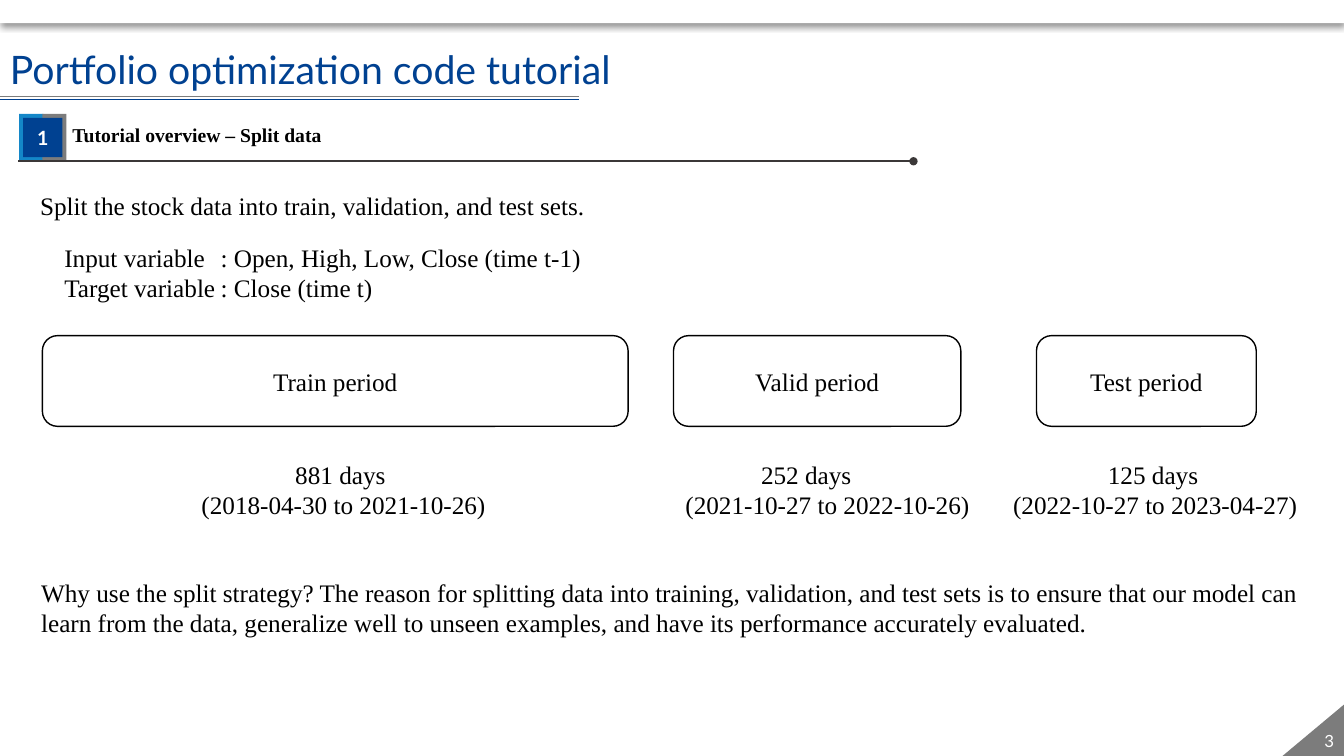
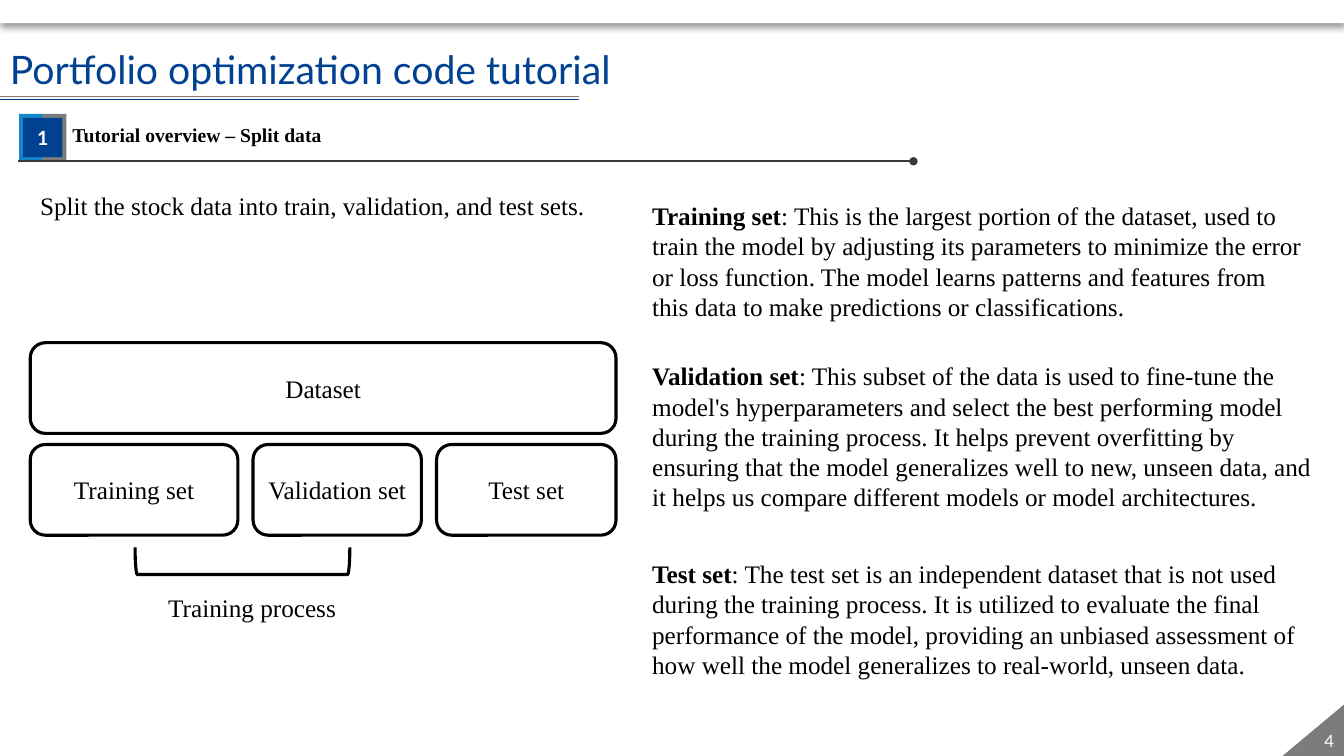
from lxml.etree import SubElement as Sub
from pptx import Presentation
from pptx.dml.color import RGBColor
from pptx.enum.shapes import MSO_CONNECTOR as Conn, MSO_SHAPE as Kind
from pptx.enum.text import MSO_ANCHOR as Anchor, PP_ALIGN as Align
from pptx.oxml.ns import qn
from pptx.util import Inches, Pt

# Grid of tenth-inch cells
COLS, ROWS = 133.3, 75

NAVY = RGBColor(0x00, 0x41, 0x91)
SKY = RGBColor(0x14, 0x87, 0xC8)
GRAY = RGBColor(0x7C, 0x7C, 0x7C)
DARK = RGBColor(0x3B, 0x38, 0x38)
BLACK = RGBColor(0, 0, 0)
WHITE = RGBColor(0xFF, 0xFF, 0xFF)
SERIF, SANS = "Times New Roman", "Lato"
PAD = (1, 0.5, 1, 0.5)
SLIM = (1, 0.5, 0.4, 0.5)
FLAT = (0, 0.5, 0, 0.5)


def cell(num):
    return Inches(num / 10)


class Deck:
    """Holds the shared style and the slide being drawn."""

    def __init__(self):
        self.prs = Presentation()
        self.prs.slide_width, self.prs.slide_height = cell(COLS), cell(ROWS)
        self.page = None

    def start(self, num):
        """Begin a slide with its title, section heading and footer."""
        self.page = self.prs.slides.add_slide(self.prs.slide_layouts[6]).shapes

        # Corner and top band
        nook = self.shape(Kind.RIGHT_TRIANGLE, (127.2, 69.9, 6.1, 5.1), GRAY)
        nook._element.spPr.find(qn("a:xfrm")).set("flipH", "1")
        self.shade(self.shape(Kind.RECTANGLE, (0, -0.4, COLS, 2.7), WHITE))
        self.text((103.3, 71.5, 30, 4), [str(num)], 12, SANS, WHITE,
                  align=Align.RIGHT, anchor=Anchor.MIDDLE)

        # Title over a double rule
        self.text((0, 4.5, 131.6, 5.2), ["Portfolio optimization code tutorial"],
                  28, SANS, NAVY, anchor=Anchor.BOTTOM, pad=SLIM)
        for row, tint in ((9.6, GRAY), (9.9, NAVY)):
            self.line(0, 57.4, row, tint, 0.5)

        # Section badge and heading
        for left, tint in ((1.9, SKY), (4.2, GRAY)):
            self.shape(Kind.RECTANGLE, (left, 11.3, 2.4, 4.7), tint)
        badge = self.shape(Kind.RECTANGLE, (2.3, 11.7, 3.9, 3.9), NAVY)
        self.fill(badge, ["1"], 14, SANS, WHITE, True, Align.CENTER,
                  Anchor.MIDDLE, FLAT)
        self.text((6.2, 11.7, 127.1, 3.4), ["Tutorial overview – Split data"],
                  14, bold=True, pad=SLIM)
        self.line(1.8, 90.6, 16, DARK, 1.5, dot=True)
        self.text((3, 18.4, 87.6, 4),
                  ["Split the stock data into train, validation, and test sets."])

    def shape(self, kind, box, tint=None, edge=None):
        item = self.page.add_shape(kind, *map(cell, box))
        item.shadow.inherit = False
        if tint is None:
            item.fill.background()
        else:
            item.fill.solid()
            item.fill.fore_color.rgb = tint
        if edge is None:
            item.line.fill.background()
        else:
            item.line.color.rgb = BLACK
            item.line.width = Pt(edge)
        return item

    def shade(self, item):
        """Cast a soft shadow straight down."""
        glow = item._element.spPr.find(qn("a:effectLst"))
        cast = Sub(glow, qn("a:outerShdw"), blurRad=str(Pt(4)),
                   dist=str(Pt(3)), dir="5400000", rotWithShape="0")
        tint = Sub(cast, qn("a:srgbClr"), val=str(BLACK))
        Sub(tint, qn("a:alpha"), val="40000")

    def line(self, left, right, row, tint, width, dot=False):
        rule = self.page.add_connector(Conn.STRAIGHT, cell(left), cell(row),
                                       cell(right), cell(row))
        rule.line.color.rgb = tint
        rule.line.width = Pt(width)
        if dot:
            Sub(rule.line._get_or_add_ln(), qn("a:tailEnd"), type="oval")
        Sub(rule._element.spPr, qn("a:effectLst"))

    def fill(self, item, paras, size=18, face=SERIF, tint=BLACK, bold=False,
             align=Align.LEFT, anchor=Anchor.TOP, pad=PAD):
        """Write paragraphs; a pair is a bold lead and the rest."""
        frame = item.text_frame
        frame.word_wrap = True
        frame.vertical_anchor = anchor
        (frame.margin_left, frame.margin_top,
         frame.margin_right, frame.margin_bottom) = map(cell, pad)
        for num, words in enumerate(paras):
            para = frame.add_paragraph() if num else frame.paragraphs[0]
            para.alignment = align
            if isinstance(words, tuple):
                for part, thick in zip(words, (True, False)):
                    run = para.add_run()
                    run.text = part
                    run.font.bold = thick
            else:
                para.text = words
                para.font.bold = bold
            para.font.size = Pt(size)
            para.font.name = face
            para.font.color.rgb = tint
        return frame

    def text(self, box, paras, *args, tab=None, inset=None, **style):
        item = self.page.add_textbox(*map(cell, box))
        # Tab stops and the indent go in ahead of the font
        if inset:
            props = item.text_frame.paragraphs[0]._p.get_or_add_pPr()
            props.set("marL", str(cell(inset)))
        frame = self.fill(item, paras, *args, **style)
        if tab:
            for para in frame.paragraphs:
                props = para._p.get_or_add_pPr()
                stops = props.makeelement(qn("a:tabLst"), {})
                Sub(stops, qn("a:tab"), pos=str(cell(tab)), algn="l")
                props.insert(0, stops)

    def card(self, left, top, width, label, edge):
        item = self.shape(Kind.ROUNDED_RECTANGLE, (left, top, width, 9),
                          edge=edge)
        self.fill(item, [label], align=Align.CENTER, anchor=Anchor.MIDDLE)


def split(deck):
    """Periods of the data split."""
    deck.start(3)
    deck.text((5.4, 23.5, 87.6, 7.1),
              ["Input variable\t: Open, High, Low, Close (time t-1)",
               "Target variable\t: Close (time t)"], tab=15.5)

    # Card left and width, label, note left, inset of the day count
    spans = (
        (4.2, 58.1, "Train period", 19, 9.3,
         "881 days", "(2018-04-30 to 2021-10-26)"),
        (66.8, 28.5, "Valid period", 67, 7.5,
         "252 days", "(2021-10-27 to 2022-10-26)"),
        (102.8, 21.8, "Test period", 99.5, 9.4,
         "125 days", "(2022-10-27 to 2023-04-27)"),
    )
    for left, width, label, note, inset, *words in spans:
        deck.card(left, 33.3, width, label, 1)
        deck.text((note, 45.1, 32, 7.1), words, inset=inset)

    deck.text((3.1, 56.8, 127.3, 13.1), [
        "Why use the split strategy? The reason for splitting data into "
        "training, validation, and test sets is to ensure that our model can "
        "learn from the data, generalize well to unseen examples, and have "
        "its performance accurately evaluated."])


def sets(deck):
    """Role of each set."""
    deck.start(4)

    # Dataset above its parts
    left, gap = 3, 1.5
    deck.card(left, 34, 58.1, "Dataset", 2.25)
    for label, width in (("Training set", 20.6), ("Validation set", 16.7),
                         ("Test set", 17.8)):
        deck.card(left, 44.1, width, label, 2.25)
        left += width + gap

    # Bracket under the first two parts
    brace = deck.shape(Kind.LEFT_BRACKET, (22.7, 45, 2.7, 21.3), edge=2.25)
    brace.rotation = 270
    deck.text((15.7, 58.3, 18.8, 4), ["Training process"])

    # Explanations
    notes = (
        (19.4, 66.7, "Training set",
         ": This is the largest portion of the dataset, used to train the "
         "model by adjusting its parameters to minimize the error or loss "
         "function. The model learns patterns and features from this data to "
         "make predictions or classifications."),
        (35.3, 68.8, "Validation set",
         ": This subset of the data is used to fine-tune the model's "
         "hyperparameters and select the best performing model during the "
         "training process. It helps prevent overfitting by ensuring that the "
         "model generalizes well to new, unseen data, and it helps us compare "
         "different models or model architectures."),
        (54.9, 66.7, "Test set",
         ": The test set is an independent dataset that is not used during "
         "the training process. It is utilized to evaluate the final "
         "performance of the model, providing an unbiased assessment of how "
         "well the model generalizes to real-world, unseen data."),
    )
    for top, width, *words in notes:
        deck.text((63.7, top, width, 13.1), [tuple(words)])


def main():
    deck = Deck()
    split(deck)
    sets(deck)
    deck.prs.save("out.pptx")


if __name__ == "__main__":
    main()
